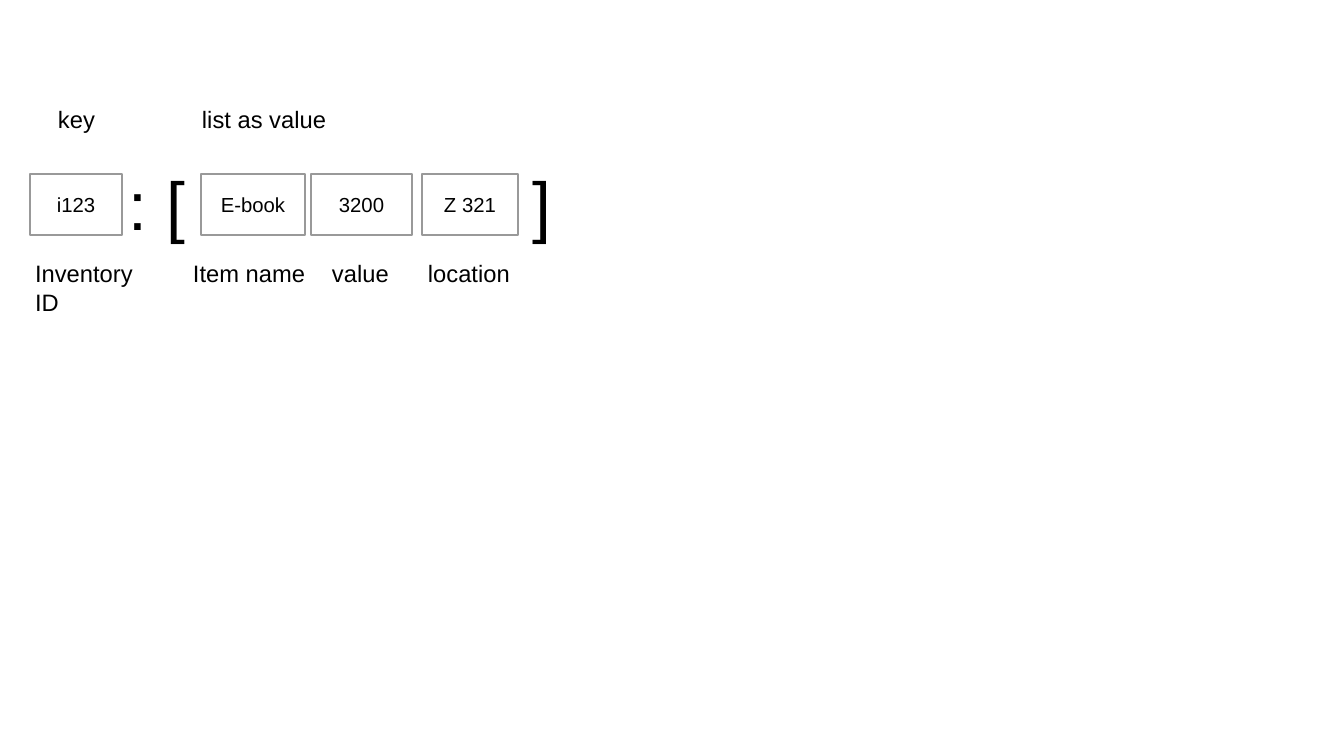
import pptx
import pptx.dml.color
import pptx.enum.shapes
import pptx.enum.text
import pptx.util

EMU_PER_PX = 914400 / 122
BLACK = pptx.dml.color.RGBColor(0x00, 0x00, 0x00)
GRAY = pptx.dml.color.RGBColor(0x99, 0x99, 0x99)

CELL_TOP, CELL_HEIGHT = 174, 61
SYMBOL_TOP, SYMBOL_HEIGHT = 157, 88
HEADING_TOP, FIELD_TOP, LABEL_HEIGHT = 99, 253, 65

# Each entry: text, left, width
CELLS = [("i123", 30, 92), ("E-book", 201, 104), ("3200", 311, 101), ("Z 321", 422, 96)]
SYMBOLS = [(": [", 117, 86), ("]", 521, 61)]
HEADINGS = [("key", 46, 122), ("list as value", 190, 395)]
FIELDS = [("Inventory ID", 23, 130), ("Item name", 181, 163),
          ("value", 320, 94), ("location", 416, 163)]


def px(length):
    return pptx.util.Emu(round(length * EMU_PER_PX))


def write_text(shape, text, size, align=pptx.enum.text.PP_ALIGN.LEFT,
               anchor=pptx.enum.text.MSO_ANCHOR.TOP):
    frame = shape.text_frame
    frame.word_wrap = True
    frame.vertical_anchor = anchor
    paragraph = frame.paragraphs[0]
    paragraph.alignment = align
    run = paragraph.add_run()
    run.text = text
    run.font.name = "Arial"
    run.font.size = pptx.util.Pt(size)
    run.font.color.rgb = BLACK


def add_cell(slide, text, left, width):
    shape = slide.shapes.add_shape(pptx.enum.shapes.MSO_SHAPE.RECTANGLE,
                                   px(left), px(CELL_TOP), px(width), px(CELL_HEIGHT))
    shape.shadow.inherit = False
    shape.fill.background()
    shape.line.color.rgb = GRAY
    shape.line.width = pptx.util.Pt(0)
    write_text(shape, text, size=12, align=pptx.enum.text.PP_ALIGN.CENTER,
               anchor=pptx.enum.text.MSO_ANCHOR.MIDDLE)


def add_label(slide, text, left, width, top, height=LABEL_HEIGHT, size=14):
    shape = slide.shapes.add_textbox(px(left), px(top), px(width), px(height))
    write_text(shape, text, size=size)


def main():
    presentation = pptx.Presentation()
    presentation.slide_width = px(1344)
    presentation.slide_height = px(756)
    slide = presentation.slides.add_slide(presentation.slide_layouts[6])

    for cell in CELLS:
        add_cell(slide, *cell)
    for symbol in SYMBOLS:
        add_label(slide, *symbol, top=SYMBOL_TOP, height=SYMBOL_HEIGHT, size=40)
    for heading in HEADINGS:
        add_label(slide, *heading, top=HEADING_TOP)
    for field in FIELDS:
        add_label(slide, *field, top=FIELD_TOP)

    presentation.save("out.pptx")


if __name__ == "__main__":
    main()
